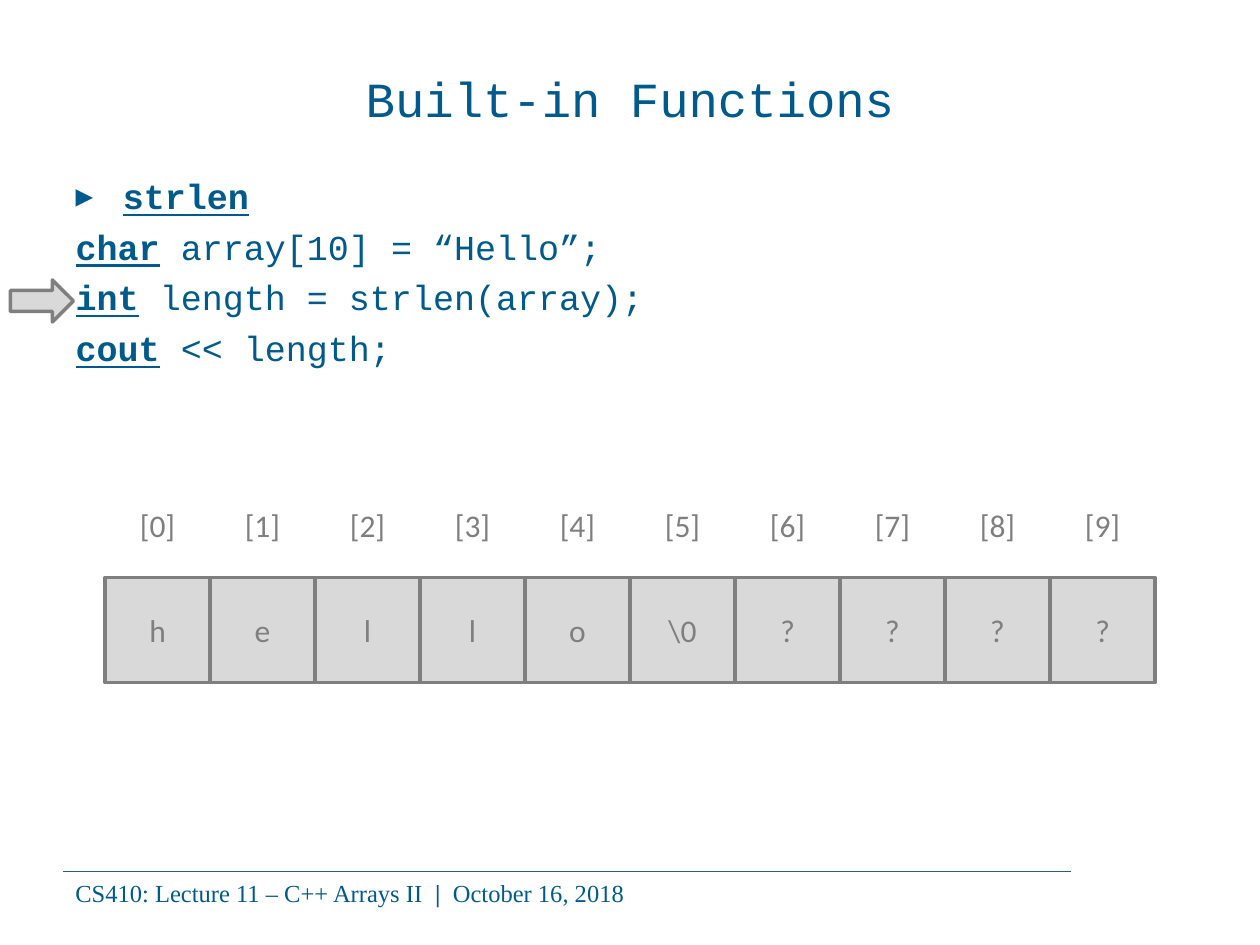
from dataclasses import dataclass

from lxml.etree import SubElement
from pptx import Presentation
from pptx.dml.color import RGBColor
from pptx.enum.shapes import MSO_CONNECTOR, MSO_SHAPE
from pptx.enum.text import MSO_ANCHOR, MSO_AUTO_SIZE, PP_ALIGN
from pptx.oxml.ns import qn
from pptx.util import Pt


@dataclass(frozen=True)
class Theme:
    blue: RGBColor = RGBColor.from_string("005A8B")
    rule: RGBColor = RGBColor.from_string("2D588D")
    grey: RGBColor = RGBColor.from_string("7F7F7F")
    pale: RGBColor = RGBColor.from_string("D9D9D9")
    code_font: str = "Courier New"
    cell_font: str = "Calibri"
    footer_font: str = "Times New Roman"
    title_size: int = 28
    code_size: int = 20
    cell_size: int = 18
    footer_size: int = 14


THEME = Theme()


def place(sp, box):
    sp.left, sp.top, sp.width, sp.height = (Pt(v) for v in box)


def add_run(p, text, font, size, color, bold=False, underline=False):
    r = p.add_run()
    r.text = text
    r.font.name = font
    r.font.size = Pt(size)
    r.font.color.rgb = color
    r.font.bold = bold
    r.font.underline = underline


def set_bullet(p, char=None, indent=27):
    pPr = p._p.get_or_add_pPr()
    pPr.set("marL", str(Pt(indent)))
    pPr.set("indent", str(-Pt(indent)))
    if char:
        color = SubElement(pPr, qn("a:buClr"))
        SubElement(color, qn("a:srgbClr"), val=str(THEME.blue))
        SubElement(pPr, qn("a:buChar"), char=char)
    else:
        SubElement(pPr, qn("a:buNone"))


def style_shape(sp):
    sp.shadow.inherit = False
    sp.fill.solid()
    sp.fill.fore_color.rgb = THEME.pale
    sp.line.color.rgb = THEME.grey
    sp.line.width = Pt(2)


def add_footer(slide, box):
    x, y, w, h = box
    rule = slide.shapes.add_connector(
        MSO_CONNECTOR.STRAIGHT, Pt(x), Pt(y), Pt(x + 576), Pt(y))
    rule.line.color.rgb = THEME.rule
    rule.line.width = Pt(0.5)
    SubElement(rule._element.spPr, qn("a:effectLst"))
    sp = slide.shapes.add_textbox(Pt(x), Pt(y), Pt(w), Pt(h))
    tf = sp.text_frame
    tf.word_wrap = True
    for text, bold in (("CS410: Lecture 11 – C++ Arrays II  ", False),
                       ("|  ", True), ("October 16, 2018", False)):
        add_run(tf.paragraphs[0], text, THEME.footer_font,
                THEME.footer_size, THEME.blue, bold)


def add_title(slide, box, text):
    sp = slide.shapes.title
    place(sp, box)
    tf = sp.text_frame
    tf.auto_size = MSO_AUTO_SIZE.NONE
    tf.vertical_anchor = MSO_ANCHOR.MIDDLE
    p = tf.paragraphs[0]
    p.alignment = PP_ALIGN.CENTER
    add_run(p, text, THEME.code_font, THEME.title_size, THEME.blue)


def add_code(slide, box, lines):
    sp = slide.placeholders[1]
    place(sp, box)
    tf = sp.text_frame
    tf.auto_size = MSO_AUTO_SIZE.NONE
    for i, (bullet, keyword, rest) in enumerate(lines):
        p = tf.add_paragraph() if i else tf.paragraphs[0]
        p.space_before = Pt(5 if i else 0)
        set_bullet(p, bullet)
        add_run(p, keyword, THEME.code_font, THEME.code_size, THEME.blue,
                bold=True, underline=True)
        if rest:
            add_run(p, rest, THEME.code_font, THEME.code_size, THEME.blue)


def add_cell_text(sp, text):
    tf = sp.text_frame
    tf.word_wrap = True
    tf.vertical_anchor = MSO_ANCHOR.MIDDLE
    p = tf.paragraphs[0]
    p.alignment = PP_ALIGN.CENTER
    add_run(p, text, THEME.cell_font, THEME.cell_size, THEME.grey)


def add_array(slide, box, values):
    x, y, w, h = box
    side = w / len(values)
    for i, value in enumerate(values):
        left = Pt(x + i * side)
        cell = slide.shapes.add_shape(
            MSO_SHAPE.RECTANGLE, left, Pt(y + h - side), Pt(side), Pt(side))
        style_shape(cell)
        add_cell_text(cell, value)
        index = slide.shapes.add_textbox(left, Pt(y), Pt(side), Pt(h - side))
        add_cell_text(index, f"[{i}]")


def add_pointer(slide, box):
    sp = slide.shapes.add_shape(MSO_SHAPE.RIGHT_ARROW, *(Pt(v) for v in box))
    style_shape(sp)


def main():
    prs = Presentation()
    prs.slide_width, prs.slide_height = Pt(720), Pt(540)
    slide = prs.slides.add_slide(prs.slide_layouts[1])
    add_footer(slide, (36, 498, 588, 24.5))
    add_title(slide, (36, 21.6, 648, 68.4), "Built-in Functions")
    add_code(slide, (36, 96, 618, 387), (
        ("▸", "strlen", ""),
        (None, "char", " array[10] = “Hello”;"),
        (None, "int", " length = strlen(array);"),
        (None, "cout", " << length;"),
    ))
    add_array(slide, (60, 270, 600, 120),
              ("h", "e", "l", "l", "o", "\\0", "?", "?", "?", "?"))
    add_pointer(slide, (6, 160, 36, 24))
    prs.save("out.pptx")


if __name__ == "__main__":
    main()
